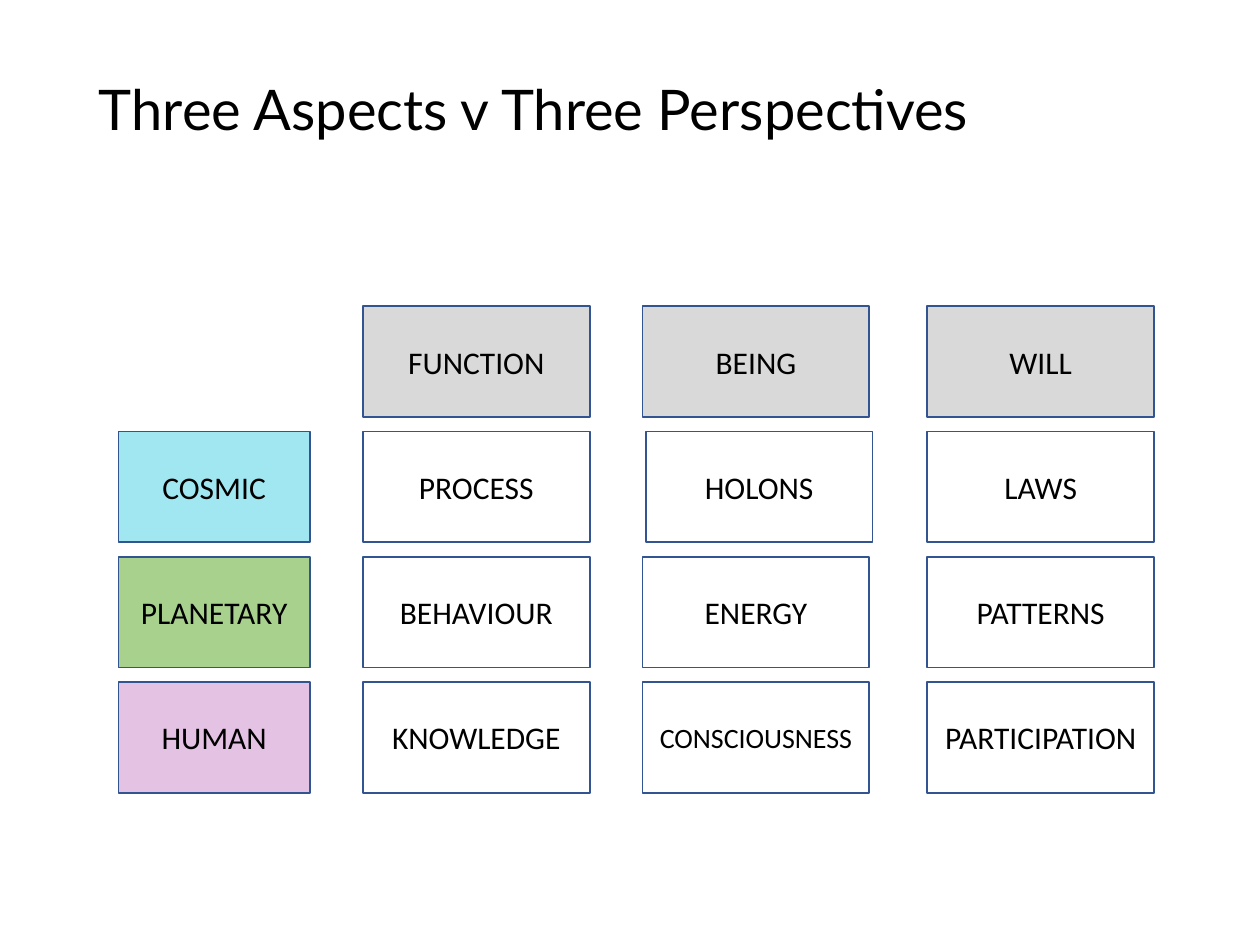
from dataclasses import dataclass

import pptx
import pptx.dml.color
import pptx.enum.shapes
import pptx.enum.text
import pptx.util

Pt = pptx.util.Pt


@dataclass(frozen=True)
class Theme:
    text: str = "000000"
    outline: str = "325491"
    aspect: str = "D9D9D9"
    cell: str = "FFFFFF"
    cosmic: str = "A1E7F1"
    planetary: str = "A9D18E"
    human: str = "E4C2E4"
    title_font: str = "Lato"
    body_font: str = "Calibri"
    title_size: int = 32
    body_size: int = 18
    small_size: int = 16


THEME = Theme()

ASPECTS = ["FUNCTION", "BEING", "WILL"]
PERSPECTIVES = [
    ("COSMIC", THEME.cosmic, ["PROCESS", "HOLONS", "LAWS"]),
    ("PLANETARY", THEME.planetary, ["BEHAVIOUR", "ENERGY", "PATTERNS"]),
    ("HUMAN", THEME.human, ["KNOWLEDGE", "CONSCIOUSNESS", "PARTICIPATION"]),
]
SIZES = {"CONSCIOUSNESS": THEME.small_size}
NUDGES = {"HOLONS": 1.8}

LABEL_WIDTH = 109.4
ASPECT_WIDTH = 129.6
ASPECT_OFFSETS = [139.7, 299.5, 462.2]
ROW_GAP = 8.2


def color(value):
    return pptx.dml.color.RGBColor.from_string(value)


def add_run(paragraph, text, font, size):
    run = paragraph.add_run()
    run.text = text
    run.font.name = font
    run.font.size = Pt(size)
    run.font.color.rgb = color(THEME.text)


def add_title(slide, text, left, top, width, height):
    shape = slide.shapes.add_textbox(Pt(left), Pt(top), Pt(width), Pt(height))
    frame = shape.text_frame
    frame.word_wrap = True
    frame.vertical_anchor = pptx.enum.text.MSO_ANCHOR.MIDDLE
    paragraph = frame.paragraphs[0]
    paragraph.line_spacing = 0.9
    add_run(paragraph, text, THEME.title_font, THEME.title_size)


def add_box(slide, text, fill, left, top, width, height):
    shape = slide.shapes.add_shape(
        pptx.enum.shapes.MSO_SHAPE.RECTANGLE,
        Pt(left + NUDGES.get(text, 0)), Pt(top), Pt(width), Pt(height))
    shape.shadow.inherit = False
    shape.fill.solid()
    shape.fill.fore_color.rgb = color(fill)
    shape.line.color.rgb = color(THEME.outline)
    shape.line.width = Pt(1)
    frame = shape.text_frame
    frame.word_wrap = True
    frame.vertical_anchor = pptx.enum.text.MSO_ANCHOR.MIDDLE
    paragraph = frame.paragraphs[0]
    paragraph.alignment = pptx.enum.text.PP_ALIGN.CENTER
    add_run(paragraph, text, THEME.body_font, SIZES.get(text, THEME.body_size))


def add_matrix(slide, left, top, height):
    """Place the aspects along the top and the perspectives down the left."""
    row_count = len(PERSPECTIVES) + 1
    box_height = (height - ROW_GAP * (row_count - 1)) / row_count

    def add_aspect_row(texts, fill, row_top):
        for text, offset in zip(texts, ASPECT_OFFSETS):
            add_box(slide, text, fill, left + offset, row_top,
                    ASPECT_WIDTH, box_height)

    add_aspect_row(ASPECTS, THEME.aspect, top)
    for row, (label, fill, texts) in enumerate(PERSPECTIVES, start=1):
        row_top = top + row * (box_height + ROW_GAP)
        add_box(slide, label, fill, left, row_top, LABEL_WIDTH, box_height)
        add_aspect_row(texts, THEME.cell, row_top)


def main():
    presentation = pptx.Presentation()
    presentation.slide_width = Pt(720)
    presentation.slide_height = Pt(540)
    slide = presentation.slides.add_slide(presentation.slide_layouts[6])
    add_title(slide, "Three Aspects v Three Perspectives",
              left=49.5, top=28.8, width=621, height=71.3)
    add_matrix(slide, left=67.7, top=175, height=278)
    presentation.save("out.pptx")


if __name__ == "__main__":
    main()
